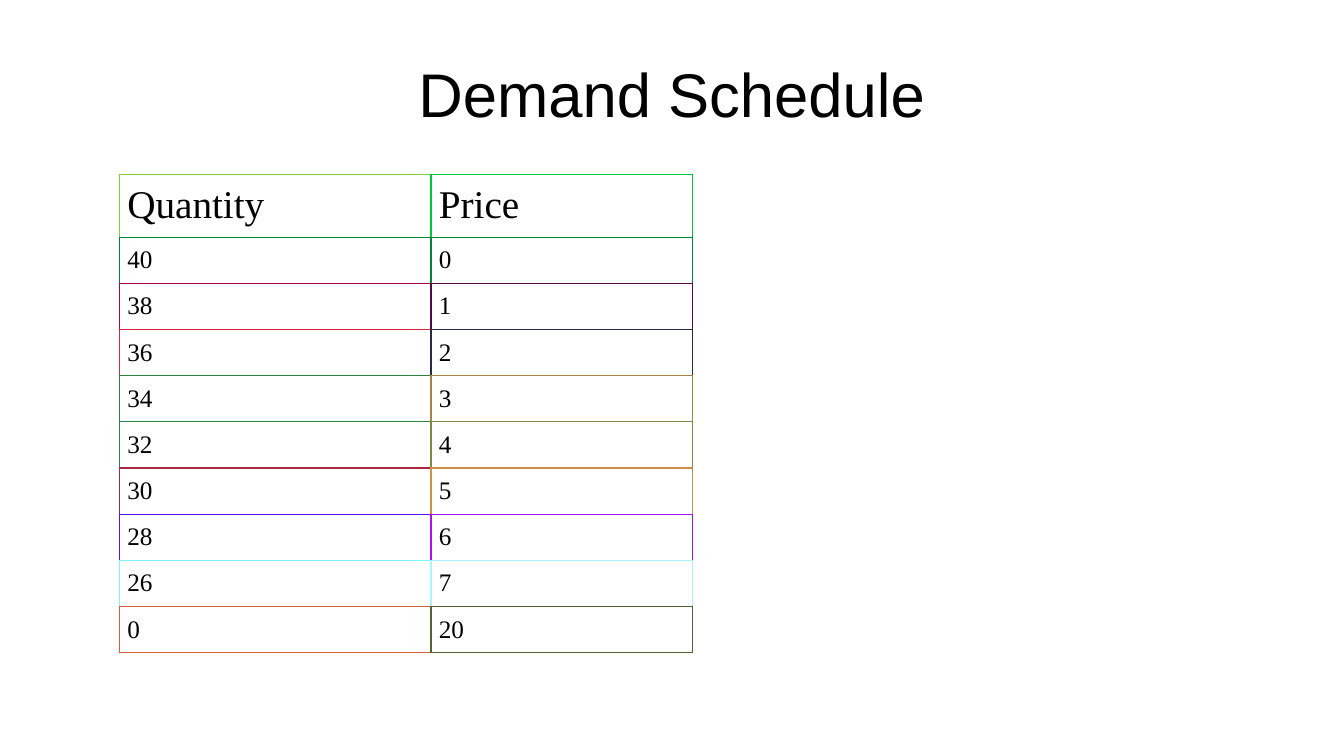
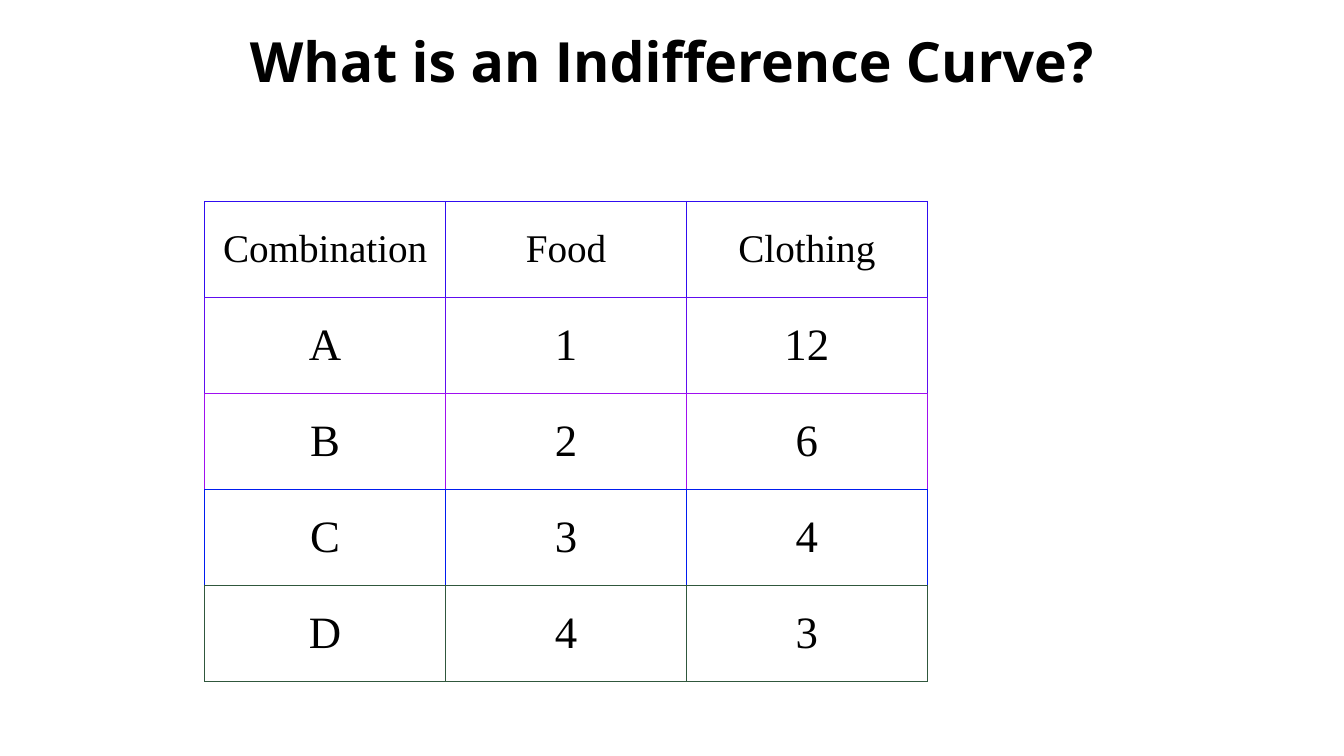
from lxml.etree import SubElement as Sub
from pptx import Presentation as Deck
from pptx.dml.color import RGBColor as RGB
from pptx.enum.text import MSO_ANCHOR as Anchor, PP_ALIGN as Align
from pptx.oxml.ns import qn
from pptx.util import Cm, Pt

BLACK = RGB(0, 0, 0)
WHITE = RGB(255, 255, 255)


def tints(codes):
    return [RGB.from_string(code) for code in codes.split()]


# One tint per row, for each column of the table
LEFT = tints("80CD39 00823A A80641 D02844 288344 "
             "288844 A82844 5013F4 80F4FF D06136")
RIGHT = tints("00C939 00833A 500D41 282944 A88344 "
              "808844 D08D44 A813F4 A8F5FF 506236")
BANDS = tints("300DF0 600DF0 A00FF0 001CF0 30573D")


def write(frame, text, font="Times New Roman", size=18, bold=False,
          align=Align.LEFT, color=BLACK):
    para = frame.paragraphs[0]
    para.alignment = align
    run = para.add_run()
    run.text = text
    run.font.name = font
    run.font.size = Pt(size)
    run.font.bold = bold
    run.font.color.rgb = color


def edge(cell, place, side, color, width):
    """Draw one border; place is its rank in the order L, R, T, B."""
    props = cell._tc.get_or_add_tcPr()
    line = props.makeelement(qn("a:ln" + side), {"w": str(Pt(width))})
    fill = Sub(line, qn("a:solidFill"))
    Sub(fill, qn("a:srgbClr"), val=str(color))
    props.insert(place, line)


class Show:
    wide, high = 33.87, 19.05
    span = 30.48

    def __init__(self):
        self.deck = Deck()
        self.deck.slide_width = Cm(self.wide)
        self.deck.slide_height = Cm(self.high)
        self.slide = None

    def start(self):
        self.slide = self.deck.slides.add_slide(self.deck.slide_layouts[6])

    def title(self, text, top, high, **style):
        left = (self.wide - self.span) / 2
        box = self.slide.shapes.add_textbox(
            Cm(left), Cm(top), Cm(self.span), Cm(high))
        frame = box.text_frame
        frame.word_wrap = True
        frame.vertical_anchor = Anchor.MIDDLE
        frame.margin_top = frame.margin_bottom = 0
        write(frame, text, align=Align.CENTER, **style)

    def table(self, rows, hues, left, top, cols, highs, pad, sizes,
              inner=1, outer=0.75, align=Align.LEFT):
        """Each cell has a tint; a shared edge takes the later cell's tint."""
        table = self.slide.shapes.add_table(
            len(rows), len(cols), Cm(left), Cm(top),
            Cm(sum(cols)), Cm(sum(highs))).table
        table.first_row = table.horz_banding = False
        for col, width in zip(table.columns, cols):
            col.width = Cm(width)
        for row, high in zip(table.rows, highs):
            row.height = Cm(high)
        end, foot = len(cols) - 1, len(rows) - 1
        for r, row in enumerate(rows):
            for c, text in enumerate(row):
                cell = table.cell(r, c)
                cell.margin_left = cell.margin_right = Cm(pad)
                cell.margin_top = cell.margin_bottom = Cm(pad)
                cell.vertical_anchor = Anchor.MIDDLE
                cell.fill.solid()
                cell.fill.fore_color.rgb = WHITE
                write(cell.text_frame, text, size=sizes[r > 0], align=align)
                own = hues[c][r]
                edges = (("L", own, inner),
                         ("R", hues[min(c + 1, end)][r],
                          inner if c < end else outer),
                         ("T", own, inner),
                         ("B", hues[c][min(r + 1, foot)],
                          inner if r < foot else outer))
                for place, spec in enumerate(edges):
                    edge(cell, place, *spec)


def demand(show):
    show.start()
    show.title("Demand Schedule", 0.76, 3.18, font="Arial", size=44)
    pairs = [(40 - 2 * price, price) for price in range(8)] + [(0, 20)]
    rows = [("Quantity", "Price")] + [(str(q), str(p)) for q, p in pairs]
    show.table(rows, (LEFT, RIGHT), 3.01, 4.39, (7.85, 6.58),
               [1.53] + [1.13] * len(pairs), 0.2, (28, 18))


def curve(show):
    show.start()
    show.title("What is an Indifference Curve?", 0.4, 2.26,
               font="Open Sans", size=39.6, bold=True)
    rows = [("Combination", "Food", "Clothing"),
            ("A", "1", "12"), ("B", "2", "6"),
            ("C", "3", "4"), ("D", "4", "3")]
    show.table(rows, [BANDS] * 3, 5.16, 5.07, [6.07] * 3,
               [2.42] * len(rows), 0.23, (28, 32),
               inner=0.75, align=Align.CENTER)


def main():
    show = Show()
    demand(show)
    curve(show)
    show.deck.save("out.pptx")


if __name__ == "__main__":
    main()
